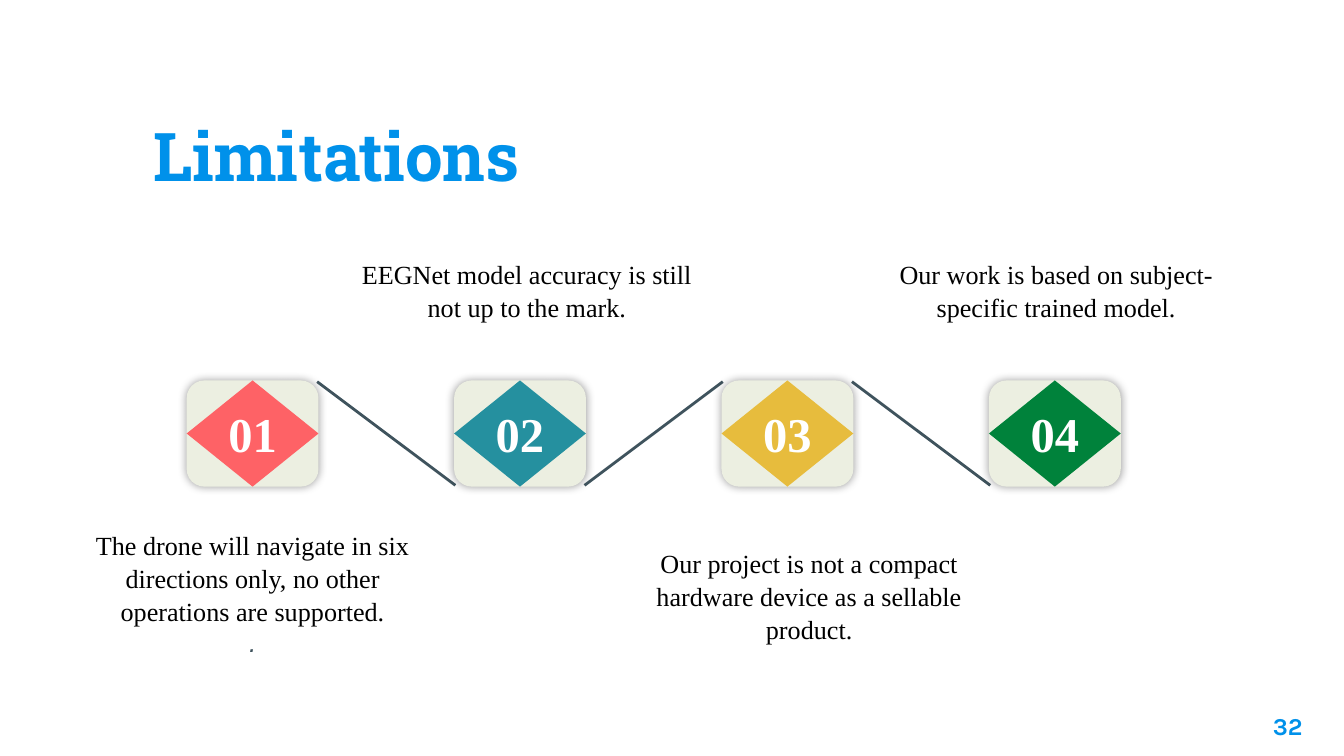
from lxml import etree
from pptx import Presentation
from pptx import util as u
from pptx.dml.color import RGBColor
from pptx.enum import shapes, text
from pptx.oxml import ns

Pt = u.Pt
BLUE = "0091EA"
SLATE = "3F535D"
SERIF = "Times New Roman"

STEPS = [
    ("01", "FE6266", (31.7, 279.4, 207.4, 103),
     "The drone will navigate in six directions only, no other operations are supported."),
    ("02", "25909F", (178.6, 133.9, 207.4, 56.9),
     "EEGNet model accuracy is still not up to the mark."),
    ("03", "E7BC3D", (329.8, 288.7, 207.4, 79.9),
     "Our project is not a compact hardware device as a sellable product."),
    ("04", "00823B", (462.2, 133.9, 207.4, 79.9),
     "Our work is based on subject-specific trained model."),
]


def rgb(value):
    return RGBColor.from_string(value)


def add_run(p, words, font, size, color, bold=False, italic=False):
    r = p.add_run()
    r.text = words
    f = r.font
    f.name, f.size, f.bold, f.italic = font, Pt(size), bold, italic
    f.color.rgb = rgb(color)


def set_frame(tf, inset, anchor, wrap=True):
    tf.margin_left = tf.margin_right = Pt(inset[0])
    tf.margin_top = tf.margin_bottom = Pt(inset[1])
    tf.vertical_anchor = anchor
    tf.word_wrap = wrap
    tf.auto_size = text.MSO_AUTO_SIZE.NONE


def effects(sp):
    return etree.SubElement(sp._element.spPr, ns.qn("a:effectLst"))


def add_title(s, box, words):
    sp = s.shapes.title
    sp.left, sp.top, sp.width, sp.height = map(Pt, box)
    set_frame(sp.text_frame, (7.2, 7.2), text.MSO_ANCHOR.BOTTOM)
    p = sp.text_frame.paragraphs[0]
    p.alignment = text.PP_ALIGN.LEFT
    add_run(p, words, "Roboto Slab", 36, BLUE, bold=True)


def add_page_number(s, box, number):
    tf = s.shapes.add_textbox(*map(Pt, box)).text_frame
    set_frame(tf, (7.2, 7.2), text.MSO_ANCHOR.TOP)
    p = tf.paragraphs[0]
    p.alignment = text.PP_ALIGN.RIGHT
    add_run(p, number, "Karla", 13, BLUE, bold=True)


def add_shape(s, kind, box, color):
    sp = s.shapes.add_shape(kind, *map(Pt, box))
    sp.fill.solid()
    sp.fill.fore_color.rgb = rgb(color)
    sp.line.fill.background()
    return sp


def add_tile(s, box, number, color):
    card = add_shape(s, shapes.MSO_SHAPE.ROUNDED_RECTANGLE, box, "ECEFE1")
    shadow = etree.SubElement(effects(card), ns.qn("a:outerShdw"),
                              blurRad=str(Pt(5)), dist="0", dir="0", algn="ctr", rotWithShape="0")
    clr = etree.SubElement(shadow, ns.qn("a:srgbClr"), val="000000")
    etree.SubElement(clr, ns.qn("a:alpha"), val="40000")
    diamond = add_shape(s, shapes.MSO_SHAPE.DIAMOND, box, color)
    diamond.shadow.inherit = False
    set_frame(diamond.text_frame, (0, 0), text.MSO_ANCHOR.MIDDLE, wrap=False)
    p = diamond.text_frame.paragraphs[0]
    p.alignment = text.PP_ALIGN.CENTER
    add_run(p, number, SERIF, 26, "FFFFFF", bold=True)


def add_link(s, x1, y1, x2, y2):
    line = s.shapes.add_connector(shapes.MSO_CONNECTOR.STRAIGHT, *map(Pt, (x1, y1, x2, y2)))
    line.line.color.rgb = rgb(SLATE)
    line.line.width = Pt(1.5)
    effects(line)


def add_chain(s, box, steps):
    left, top, width, height = box
    tile_w, inset = 70.6, 0.7
    pitch = (width - tile_w) / (len(steps) - 1)
    high, low = top + inset, top + height - inset
    for i, (number, color, _, _) in enumerate(steps):
        x = left + i * pitch
        add_tile(s, (x, top, tile_w, height), number, color)
        if i < len(steps) - 1:
            start, end = (high, low) if i % 2 == 0 else (low, high)
            add_link(s, x + tile_w - inset, start, x + pitch + inset, end)


def add_caption(s, box, words):
    tf = s.shapes.add_textbox(*map(Pt, box)).text_frame
    set_frame(tf, (7.2, 3.6), text.MSO_ANCHOR.TOP)
    p = tf.paragraphs[0]
    p.alignment = text.PP_ALIGN.CENTER
    p.line_spacing = 1.05
    add_run(p, words, SERIF, 14, "000000")
    return tf


def main():
    prs = Presentation()
    prs.slide_width, prs.slide_height = Pt(720), Pt(405)
    s = prs.slides.add_slide(prs.slide_layouts[5])
    add_title(s, (74.9, 20.2, 550, 91.4), "Limitations")
    add_page_number(s, (661.7, 373.7, 43.2, 31), "32")
    add_chain(s, (100, 203.8, 500.4, 56.9), STEPS)
    captions = [add_caption(s, box, words) for _, _, box, words in STEPS]
    p = captions[0].add_paragraph()
    p.alignment = text.PP_ALIGN.CENTER
    add_run(p, ".", "Arial", 14, SLATE, italic=True)
    prs.save("out.pptx")


if __name__ == "__main__":
    main()
